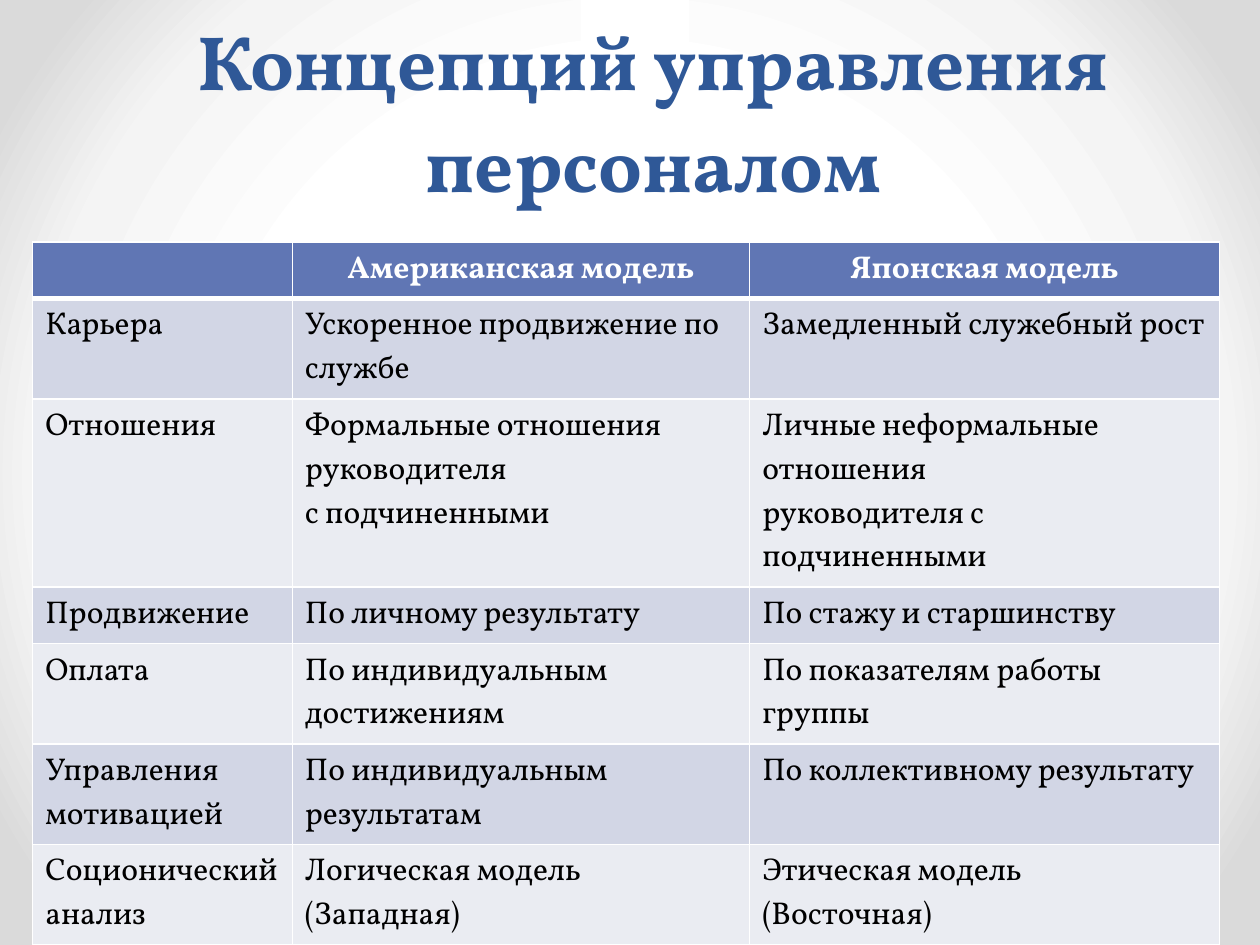
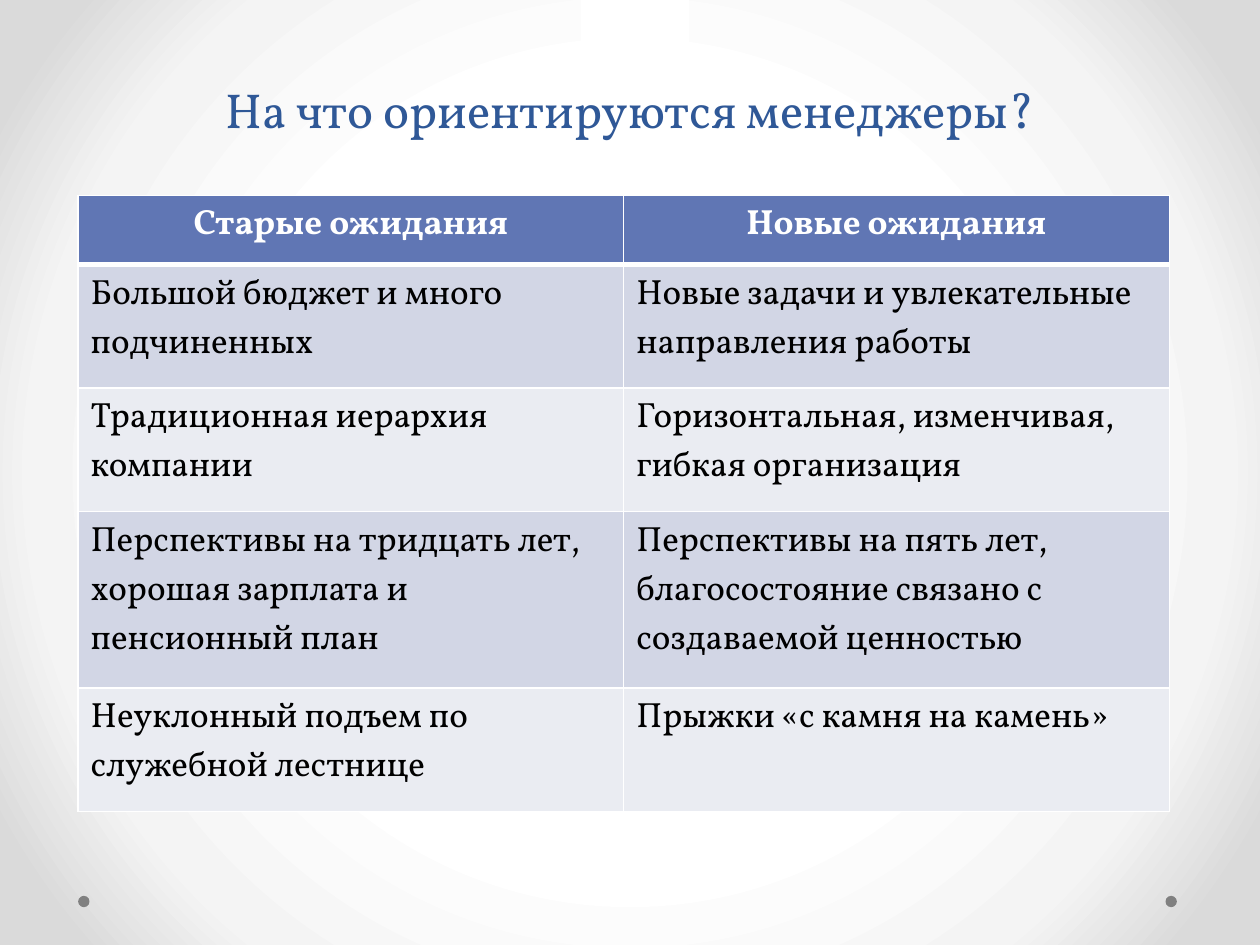
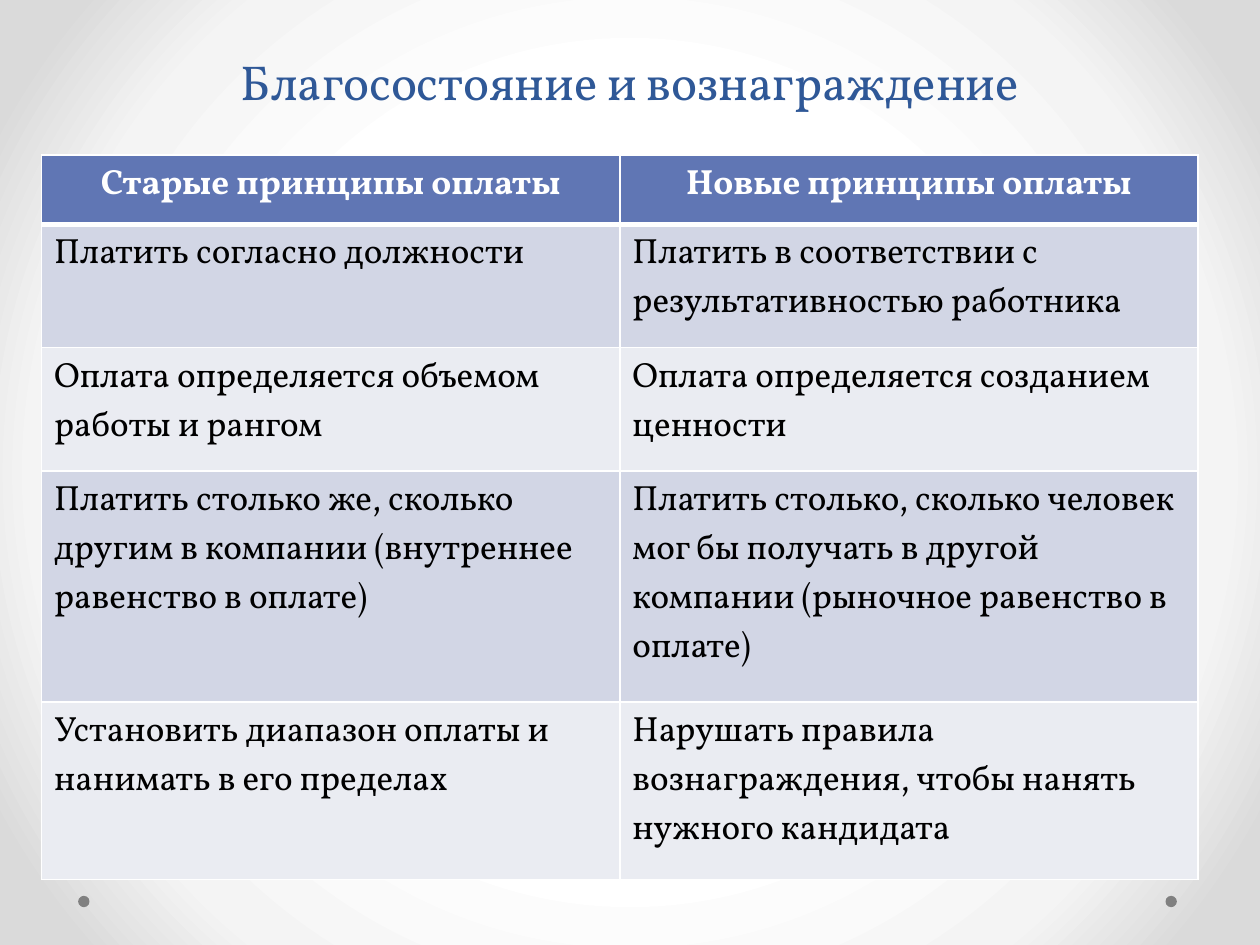
from pptx import Presentation
from pptx.dml.color import RGBColor
from pptx.enum.shapes import MSO_SHAPE
from pptx.enum.text import MSO_ANCHOR, MSO_AUTO_SIZE, PP_ALIGN
from pptx.oxml import parse_xml
from pptx.oxml.ns import nsdecls
from pptx.util import Inches, Pt

FONT = "Vollkorn"
TITLE_BLUE = RGBColor(0x2F, 0x58, 0x97)
HEADER_BLUE = RGBColor(0x60, 0x76, 0xB4)
BAND_DARK = RGBColor(0xD2, 0xD6, 0xE5)
BAND_LIGHT = RGBColor(0xEA, 0xEC, 0xF2)
DOT_GRAY = RGBColor(0x80, 0x80, 0x80)
WHITE = RGBColor(0xFF, 0xFF, 0xFF)
BLACK = RGBColor(0x00, 0x00, 0x00)
BACKDROP = ((50, "FFFFFF"), (76, "F4F4F4"), (92, "DADADA"))

# In cell texts "\v" is a line break and "\n" starts a new paragraph.
SLIDES = [
    {
        "title": "Концепций управления персоналом",
        "title_box": (1.35, 1.17, 7.67, 0.53),
        "title_size": 44,
        "title_bold": True,
        "top_patch": True,
        "table_at": (0.26, 1.92),
        "cols": (2.06, 3.63, 3.73),
        "row_heights": (0.41, 0.7, 1.3, 0.41, 0.7, 0.7, 0.7),
        "text_size": 18,
        "rows": [
            ("", "Американская модель", "Японская модель"),
            ("Карьера", "Ускоренное продвижение по службе",
             "Замедленный служебный рост"),
            ("Отношения", "Формальные отношения руководителя\vс подчиненными",
             "Личные неформальные отношения\vруководителя с подчиненными"),
            ("Продвижение", "По личному результату", "По стажу и старшинству"),
            ("Оплата", "По индивидуальным\vдостижениям",
             "По показателям работы\vгруппы"),
            ("Управления мотивацией", "По индивидуальным\vрезультатам",
             "По коллективному результату"),
            ("Соционический анализ", "Логическая модель (Западная)",
             "Этическая модель\n(Восточная)"),
        ],
    },
    {
        "title": "На что ориентируются менеджеры?",
        "title_box": (0.5, 0, 9, 1.15),
        "title_size": 28,
        "title_bold": False,
        "top_patch": True,
        "table_at": (0.62, 1.55),
        "cols": (4.33, 4.33),
        "row_heights": (0.55, 0.98, 0.98, 1.4, 0.98),
        "text_size": 20,
        "rows": [
            ("Старые ожидания", "Новые ожидания"),
            ("Большой бюджет и много подчиненных",
             "Новые задачи и увлекательные направления работы"),
            ("Традиционная иерархия компании",
             "Горизонтальная, изменчивая, гибкая организация"),
            ("Перспективы на тридцать лет, хорошая зарплата и пенсионный план",
             "Перспективы на пять лет, благосостояние связано с создаваемой ценностью"),
            ("Неуклонный подъем по служебной лестнице",
             "Прыжки «с камня на камень»"),
        ],
    },
    {
        "title": "Благосостояние и вознаграждение",
        "title_box": (0.5, -0.82, 9, 1.75),
        "title_size": 28,
        "title_bold": False,
        "top_patch": False,
        "table_at": (0.33, 1.23),
        "cols": (4.59, 4.59),
        "row_heights": (0.55, 0.98, 0.98, 1.83, 1.41),
        "text_size": 20,
        "rows": [
            ("Старые принципы оплаты", "Новые принципы оплаты"),
            ("Платить согласно должности",
             "Платить в соответствии с результативностью работника"),
            ("Оплата определяется объемом работы и рангом",
             "Оплата определяется созданием ценности"),
            ("Платить столько же, сколько другим в компании (внутреннее равенство в оплате)",
             "Платить столько, сколько человек мог бы получать в другой компании "
             "(рыночное равенство в оплате)"),
            ("Установить диапазон оплаты и нанимать в его пределах",
             "Нарушать правила вознаграждения, чтобы нанять нужного кандидата"),
        ],
    },
]


def add_plain_shape(slide, kind, box, color):
    sp = slide.shapes.add_shape(kind, *[Inches(v) for v in box])
    sp.shadow.inherit = False
    sp.fill.solid()
    sp.fill.fore_color.rgb = color
    sp.line.fill.background()


def style_cell(cell, row, size):
    """Set borders, band fill and text format by the row's place in the table."""
    widths = {"L": 1, "R": 1, "T": 3 if row == 1 else 1, "B": 3 if row == 0 else 1}
    tc_pr = cell._tc.get_or_add_tcPr()
    for side, width in widths.items():
        tc_pr.append(parse_xml(
            f'<a:ln{side} {nsdecls("a")} w="{Pt(width)}"><a:solidFill>'
            f'<a:srgbClr val="{WHITE}"/></a:solidFill></a:ln{side}>'))
    cell.fill.solid()
    if row == 0:
        cell.fill.fore_color.rgb = HEADER_BLUE
    else:
        cell.fill.fore_color.rgb = BAND_DARK if row % 2 else BAND_LIGHT
    for p in cell.text_frame.paragraphs:
        p.alignment = PP_ALIGN.CENTER if row == 0 else PP_ALIGN.LEFT
        for r in p.runs:
            r.font.name = FONT
            r.font.size = Pt(size)
            r.font.bold = row == 0
            r.font.color.rgb = WHITE if row == 0 else BLACK


prs = Presentation()
prs.slide_width = Inches(10)
prs.slide_height = Inches(7.5)

# Shared backdrop: circular gradient on the master
fill = prs.slide_master.background.fill
fill.solid()
stops = "".join(f'<a:gs pos="{pos * 1000}"><a:srgbClr val="{color}"/></a:gs>'
                for pos, color in BACKDROP)
gradient = parse_xml(
    f'<a:gradFill {nsdecls("a")} rotWithShape="1"><a:gsLst>{stops}</a:gsLst>'
    '<a:path path="circle"><a:fillToRect l="50000" t="50000" r="50000" b="50000"/>'
    '</a:path></a:gradFill>')
bg_pr = prs.slide_master.element.cSld.bg.bgPr
bg_pr.replace(bg_pr[0], gradient)

for content in SLIDES:
    s = prs.slides.add_slide(prs.slide_layouts[5])
    for left in (9.25, 0.62):
        add_plain_shape(s, MSO_SHAPE.OVAL, (left, 7.11, 0.09, 0.09), DOT_GRAY)
    if content["top_patch"]:
        add_plain_shape(s, MSO_SHAPE.RECTANGLE, (4.61, 0, 0.86, 0.43), WHITE)

    # Table
    rows, cols, heights = content["rows"], content["cols"], content["row_heights"]
    left, top = content["table_at"]
    table = s.shapes.add_table(len(rows), len(cols), Inches(left), Inches(top),
                               Inches(sum(cols)), Inches(sum(heights))).table
    for column, width in zip(table.columns, cols):
        column.width = Inches(width)
    for i, (texts, height) in enumerate(zip(rows, heights)):
        table.rows[i].height = Inches(height)
        for j, text in enumerate(texts):
            cell = table.cell(i, j)
            cell.text = text
            style_cell(cell, i, content["text_size"])

    # Title, brought to the front
    title = s.shapes.title
    title.left, title.top, title.width, title.height = [
        Inches(v) for v in content["title_box"]]
    tf = title.text_frame
    tf.text = content["title"]
    tf.word_wrap = True
    tf.auto_size = MSO_AUTO_SIZE.NONE
    tf.vertical_anchor = MSO_ANCHOR.BOTTOM
    p = tf.paragraphs[0]
    p.alignment = PP_ALIGN.CENTER
    p.line_spacing = Pt(58)
    r = p.runs[0]
    r.font.name = FONT
    r.font.size = Pt(content["title_size"])
    r.font.bold = content["title_bold"]
    r.font.color.rgb = TITLE_BLUE
    s.shapes._spTree.append(title.element)

prs.save("out.pptx")
